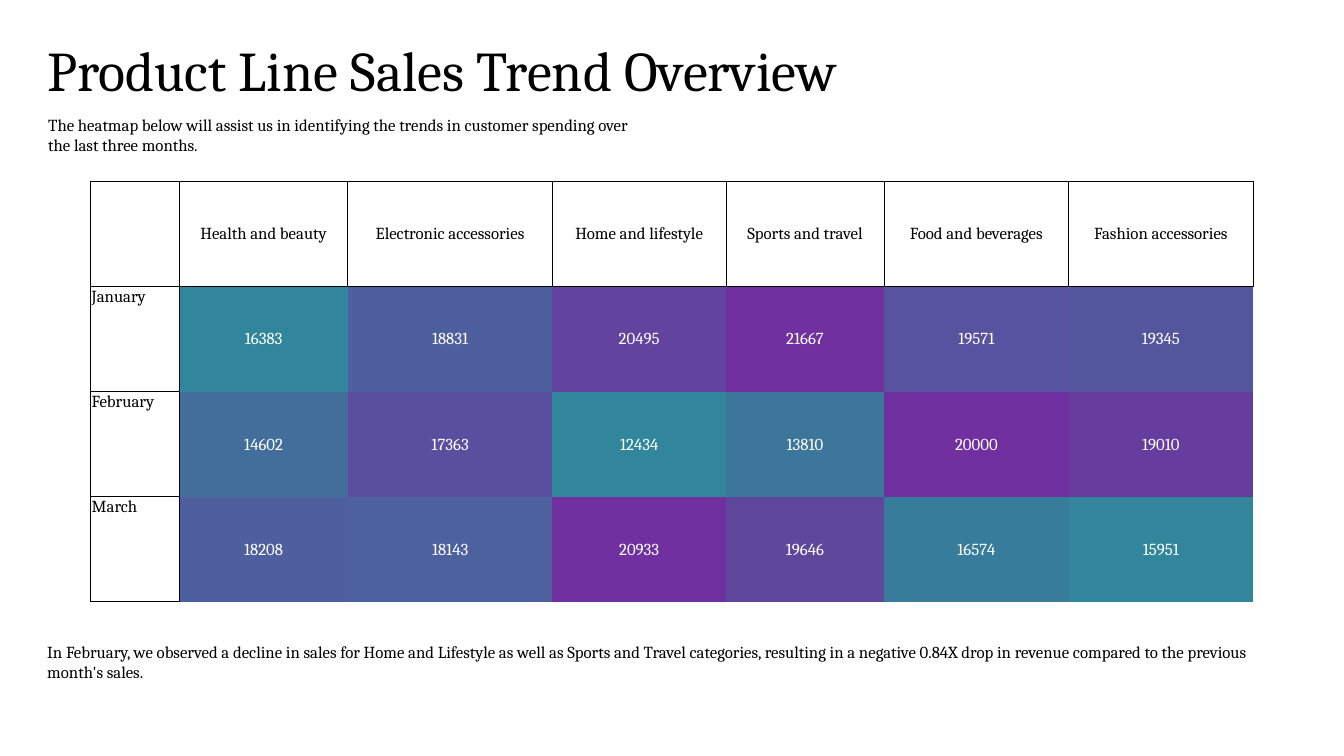
from lxml import etree
from pptx import Presentation
from pptx.dml.color import RGBColor
from pptx.enum import text
from pptx.oxml import ns
from pptx.util import Inches, Pt

FONT = "Cambria"
COLORS = {"ink": "000000", "paper": "FFFFFF", "low": "31869B", "high": "7030A0"}
PRODUCT_LINES = ["Health and beauty", "Electronic accessories", "Home and lifestyle",
                 "Sports and travel", "Food and beverages", "Fashion accessories"]
MONTHLY_SALES = {
    "January": [16383, 18831, 20495, 21667, 19571, 19345],
    "February": [14602, 17363, 12434, 13810, 20000, 19010],
    "March": [18208, 18143, 20933, 19646, 16574, 15951],
}
COLUMN_WIDTHS = [0.88, 1.67, 2.03, 1.72, 1.57, 1.83, 1.83]


def format_paragraph(paragraph, size, color):
    for run in paragraph.runs:
        run.font.name = FONT
        run.font.size = Pt(size)
        run.font.color.rgb = RGBColor.from_string(color)


def add_text(slide, box, content, size):
    frame = slide.shapes.add_textbox(*map(Inches, box)).text_frame
    frame.word_wrap = True
    frame.text = content
    format_paragraph(frame.paragraphs[0], size, COLORS["ink"])


def heat_color(value, values):
    """Blend from the row's lowest value to its highest."""
    share = (value - min(values)) / (max(values) - min(values))
    low, high = (RGBColor.from_string(COLORS[end]) for end in ("low", "high"))
    return RGBColor(*(a + int(share * (b - a)) for a, b in zip(low, high)))


def set_borders(cell, sides):
    """Draw thin lines on the given sides and none on the others."""
    properties = cell._tc.get_or_add_tcPr()
    for side in "LRTB":
        line = etree.SubElement(properties, ns.qn(f"a:ln{side}"), w=str(Pt(0.5)))
        if side in sides:
            fill = etree.SubElement(line, ns.qn("a:solidFill"))
            etree.SubElement(fill, ns.qn("a:srgbClr"), val=COLORS["ink"])
        else:
            etree.SubElement(line, ns.qn("a:noFill"))


def fill_cell(cell, content, sides, color="ink", centered=True):
    set_borders(cell, sides)
    cell.fill.background()
    cell.margin_left = cell.margin_right = cell.margin_top = Inches(0.01)
    cell.margin_bottom = 0
    cell.text = content
    paragraph = cell.text_frame.paragraphs[0]
    if centered:
        cell.vertical_anchor = text.MSO_ANCHOR.MIDDLE
        paragraph.alignment = text.PP_ALIGN.CENTER
    format_paragraph(paragraph, 12, COLORS[color])


def add_heatmap(slide, box):
    row_count = len(MONTHLY_SALES) + 1
    frame = slide.shapes.add_table(row_count, len(COLUMN_WIDTHS), *map(Inches, box))
    table = frame.table
    table.first_row = table.horz_banding = False
    for column, width in zip(table.columns, COLUMN_WIDTHS):
        column.width = Inches(width)

    # Header row
    for column, label in enumerate([""] + PRODUCT_LINES):
        fill_cell(table.cell(0, column), label, "LRTB")

    # Month rows
    for row, (month, values) in enumerate(MONTHLY_SALES.items(), start=1):
        fill_cell(table.cell(row, 0), month, "LRTB", centered=False)
        for column, value in enumerate(values, start=1):
            cell = table.cell(row, column)
            sides = ("L" if column == 1 else "") + ("T" if row == 1 else "")
            fill_cell(cell, str(value), sides, "paper")
            cell.fill.solid()
            cell.fill.fore_color.rgb = heat_color(value, values)


def build_heatmap_slide(presentation):
    slide = presentation.slides.add_slide(presentation.slide_layouts[6])
    # Table
    add_heatmap(slide, (0.9, 1.8, 11.53, 4.17))
    # Title and introduction
    add_text(slide, (0.37, 0.3, 10.01, 0.77), "Product Line Sales Trend Overview", 40)
    add_text(slide, (0.38, 1.09, 6.01, 0.5),
             "The heatmap below will assist us in identifying the trends in customer "
             "spending over the last three months.", 12)
    # Finding
    add_text(slide, (0.37, 6.32, 12.59, 0.5),
             "In February, we observed a decline in sales for Home and Lifestyle as well as "
             "Sports and Travel categories, resulting in a negative 0.84X drop in revenue "
             "compared to the previous month's sales.", 12)


def main():
    presentation = Presentation()
    presentation.slide_width = Inches(13.33)
    presentation.slide_height = Inches(7.5)
    build_heatmap_slide(presentation)
    presentation.save("out.pptx")


if __name__ == "__main__":
    main()
